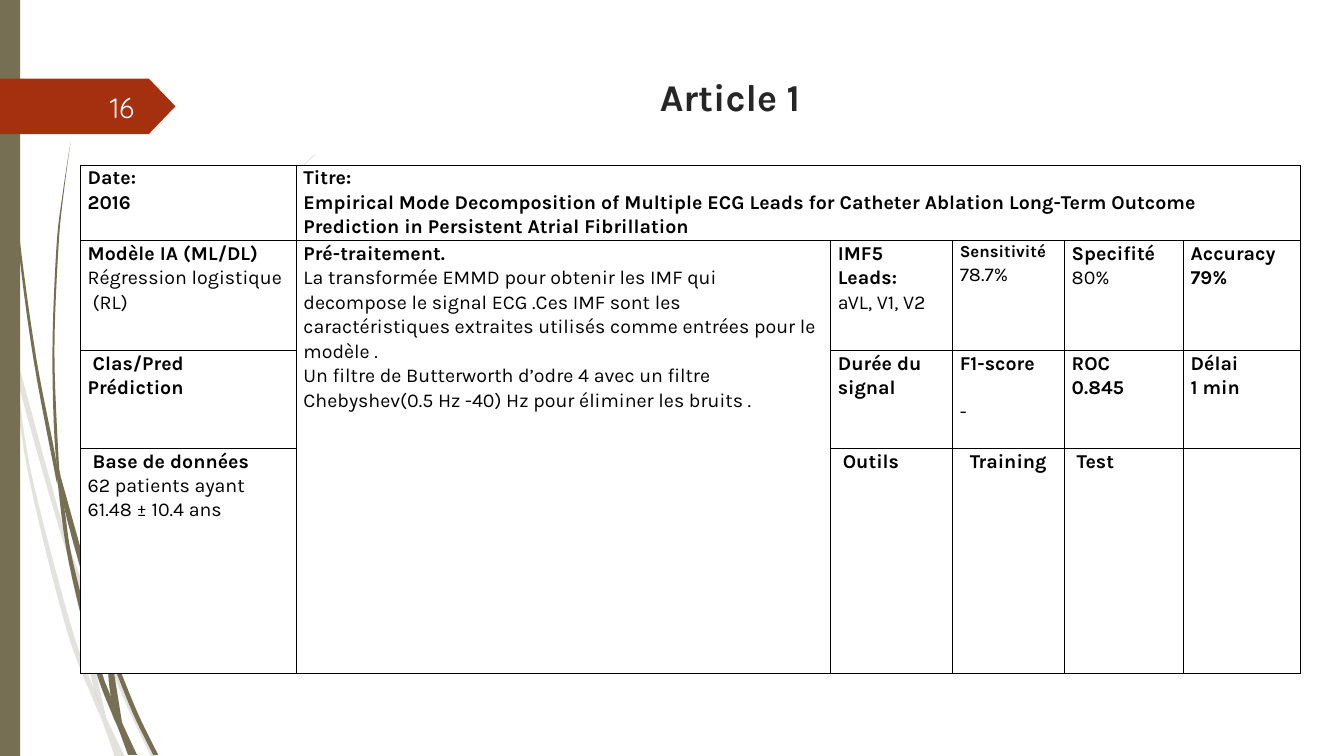
"""Build the slide that sums up article 1 in a table."""
from dataclasses import dataclass

from lxml import etree
from pptx import Presentation
from pptx.dml.color import RGBColor
from pptx.enum.shapes import MSO_SHAPE
from pptx.enum.text import MSO_ANCHOR, PP_ALIGN
from pptx.oxml.ns import qn
from pptx.util import Pt

PX = 9144
TITLE_ONLY = 5
RECTANGLE, PENTAGON = MSO_SHAPE.RECTANGLE, MSO_SHAPE.PENTAGON
CENTER, LEFT, RIGHT = PP_ALIGN.CENTER, PP_ALIGN.LEFT, PP_ALIGN.RIGHT
TOP, MIDDLE = MSO_ANCHOR.TOP, MSO_ANCHOR.MIDDLE
COLORS = {"olive": "766F54", "rust": "A53010", "title": "262626",
          "number": "FEFFFF", "black": "000000", "white": "FFFFFF"}


@dataclass
class Line:
    """One paragraph of a table cell."""
    text: str
    bold: bool = True
    size: int = 14
    indent: int = 0
    before: int = 0


TITLE = "Article 1"
NUMBER = "16"
TABLE_AT = (80, 164)
COLUMNS = (214, 530, 121, 111, 118, 116)
ROWS = (73, 109, 97, 223)
MERGES = (((0, 1), (0, 5)), ((1, 1), (3, 1)))
CELLS = {
    (0, 0): [Line("Date:"), Line("2016")],
    (0, 1): [Line("Titre:"),
             Line("Empirical Mode Decomposition of Multiple ECG Leads for Catheter Ablation "
                  "Long-Term Outcome Prediction in Persistent Atrial Fibrillation")],
    (1, 0): [Line("Modèle IA (ML/DL)"), Line("Régression logistique", False),
             Line("(RL)", False, indent=5)],
    (1, 1): [Line("Pré-traitement."),
             Line("La transformée EMMD pour obtenir les IMF qui decompose le signal ECG .Ces IMF "
                  "sont les caractéristiques extraites utilisés comme entrées pour le modèle .",
                  False),
             Line("Un filtre de Butterworth d’odre 4 avec un filtre Chebyshev(0.5 Hz -40) Hz "
                  "pour éliminer les bruits .", False)],
    (1, 2): [Line("IMF5"), Line("Leads:"), Line("aVL, V1, V2", False)],
    (1, 3): [Line("Sensitivité", size=12), Line("78.7%", False)],
    (1, 4): [Line("Specifité"), Line("80%", False)],
    (1, 5): [Line("Accuracy"), Line("79%")],
    (2, 0): [Line("Clas/Pred", indent=5), Line("Prédiction")],
    (2, 2): [Line("Durée du signal")],
    (2, 3): [Line("F1-score"), Line("-", False, before=17)],
    (2, 4): [Line("ROC"), Line("0.845")],
    (2, 5): [Line("Délai"), Line("1 min")],
    (3, 0): [Line("Base de données", indent=5), Line("62 patients ayant", False),
             Line("61.48 ± 10.4 ans", False)],
    (3, 2): [Line("Outils", indent=5)],
    (3, 3): [Line("Training", indent=10)],
    (3, 4): [Line("Test", indent=5)],
}

PALE_BLADES = (
    ([(0, 282), (9, 322), (11, 350)], [(0, 299), (10, 344), (11, 350)]),
    ([(14, 345), (62, 520), (85, 586), (92, 607), (127, 692), (155, 751)],
     [(14, 345), (17, 376), (58, 522), (84, 599), (88, 610), (123, 694), (150, 751)]),
    ([(11, 350), (17, 376), (31, 469), (70, 619), (93, 683), (105, 711), (124, 751)],
     [(11, 350), (28, 470), (65, 621), (92, 693), (101, 714), (114, 751)]),
    ([(84, 599), (87, 646), (93, 683), (105, 711)],
     [(84, 599), (88, 610), (91, 646), (105, 711)]),
    ([(312, 153), (268, 197), (228, 244), (158, 348), (107, 461), (85, 584), (88, 596)],
     [(312, 154), (268, 198), (229, 245), (160, 349), (110, 462), (88, 584), (88, 596)]),
)
DARK_BLADES = (
    ([(3, 0), (4, 48), (7, 110), (17, 233), (33, 355), (56, 477)],
     [(4, 0), (5, 48), (8, 109), (19, 232), (36, 355), (55, 453), (57, 481)]),
    ([(70, 141), (62, 193), (56, 245), (52, 349), (55, 449), (64, 505)],
     [(70, 141), (63, 193), (58, 245), (54, 349), (58, 453), (60, 472), (64, 505)]),
    ([(60, 472), (93, 590), (106, 631), (113, 649), (136, 706), (157, 749)],
     [(60, 472), (64, 505), (88, 592), (106, 645), (111, 656), (132, 708), (152, 749)]),
    ([(55, 453), (64, 505), (72, 556), (98, 657), (110, 691), (122, 719), (136, 749)],
     [(55, 453), (57, 477), (68, 557), (93, 659), (111, 708), (117, 722), (127, 749)]),
    ([(106, 645), (110, 691), (122, 719)], [(106, 645), (111, 656), (121, 716), (122, 719)]),
    ([(260, 344), (231, 373), (204, 405), (156, 474), (122, 551), (106, 631), (110, 641)],
     [(260, 344), (231, 374), (205, 406), (158, 476), (125, 552), (111, 633), (110, 641)]),
)


def smooth(knots, steps=6):
    """Return points on a smooth curve through the knots."""
    ends = [knots[0], *knots, knots[-1]]
    points = []
    for a, b, c, d in zip(ends, ends[1:], ends[2:], ends[3:]):
        for step in range(steps):
            t = step / steps
            points.append(tuple(
                (2 * q + (r - p) * t + (2 * p - 5 * q + 4 * r - s) * t ** 2
                 + (3 * q - p - 3 * r + s) * t ** 3) / 2
                for p, q, r, s in zip(a, b, c, d)))
    return points + [knots[-1]]


def paint(shape, color, opacity=100):
    """Give a shape a plain fill without line or shadow."""
    shape.shadow.inherit = False
    shape.line.fill.background()
    shape.fill.solid()
    shape.fill.fore_color.rgb = RGBColor.from_string(COLORS[color])
    if opacity < 100:
        tint = shape.fill._xPr.find(".//" + qn("a:srgbClr"))
        etree.SubElement(tint, qn("a:alpha"), val=str(opacity * 1000))


def add_blade(page, edges, opacity):
    """Draw one blade of grass between its two edges."""
    near, far = map(smooth, edges)
    outline = [(round(x * PX), round(y * PX)) for x, y in near + far[::-1]]
    builder = page.shapes.build_freeform(*outline[0], scale=1.0)
    builder.add_line_segments(outline[1:], close=True)
    paint(builder.convert_to_shape(), "olive", opacity)


def add_preset(page, kind, area, color):
    """Draw a filled preset shape."""
    shape = page.shapes.add_shape(kind, *(length * PX for length in area))
    paint(shape, color)
    return shape


def write(para, text, size, color, font="Karla", bold=False, align=LEFT):
    """Add one formatted run to a paragraph."""
    para.alignment = align
    span = para.add_run()
    span.text = text
    span.font.size, span.font.name, span.font.bold = Pt(size), font, bold
    span.font.color.rgb = RGBColor.from_string(COLORS[color])


def place(box, area, anchor):
    """Move a text box and set how its text sits."""
    box.left, box.top, box.width, box.height = (length * PX for length in area)
    box.text_frame.word_wrap = True
    box.text_frame.vertical_anchor = anchor


def format_cell(cell):
    """Set the fill, margins and borders of a cell."""
    cell.margin_left = cell.margin_right = 7 * PX
    cell.margin_top = cell.margin_bottom = 0
    cell.fill.solid()
    cell.fill.fore_color.rgb = RGBColor.from_string(COLORS["white"])
    properties = cell._tc.get_or_add_tcPr()
    for place_in_order, side in enumerate(("a:lnL", "a:lnR", "a:lnT", "a:lnB")):
        border = etree.Element(qn(side), w=str(Pt(1)))
        fill = etree.SubElement(border, qn("a:solidFill"))
        etree.SubElement(fill, qn("a:srgbClr"), val=COLORS["black"])
        properties.insert(place_in_order, border)


def fill_cell(cell, lines):
    """Write the lines of a cell, one paragraph each."""
    frame = cell.text_frame
    for index, line in enumerate(lines):
        para = frame.add_paragraph() if index else frame.paragraphs[0]
        para.line_spacing = 1.07
        para.space_before = Pt(line.before)
        para._p.get_or_add_pPr().set("marL", str(line.indent * PX))
        write(para, line.text, line.size, "black", bold=line.bold)


def add_summary(page):
    """Add the table of the article."""
    area = (*TABLE_AT, sum(COLUMNS), sum(ROWS))
    table = page.shapes.add_table(len(ROWS), len(COLUMNS), *(n * PX for n in area)).table
    table.first_row = table.horz_banding = False
    for column, width in zip(table.columns, COLUMNS):
        column.width = width * PX
    for row, height in zip(table.rows, ROWS):
        row.height = height * PX
    for cell in table.iter_cells():
        format_cell(cell)
    for first, last in MERGES:
        table.cell(*first).merge(table.cell(*last))
    for position, lines in CELLS.items():
        fill_cell(table.cell(*position), lines)


def main():
    """Build and save the deck."""
    deck = Presentation()
    deck.slide_width, deck.slide_height = 1333 * PX, 750 * PX
    page = deck.slides.add_slide(deck.slide_layouts[TITLE_ONLY])
    for blades, opacity in ((PALE_BLADES, 20), (DARK_BLADES, 100)):
        for edges in blades:
            add_blade(page, edges, opacity)
    add_preset(page, RECTANGLE, (0, 0, 20, 750), "olive")
    add_preset(page, PENTAGON, (0, 78, 174, 55), "rust").adjustments[0] = 0.48
    title = page.shapes.title
    place(title, (177, 68, 1094, 97), TOP)
    write(title.text_frame.paragraphs[0], TITLE, 27, "title", bold=True, align=CENTER)
    number = page.shapes.add_textbox(0, 0, PX, PX)
    place(number, (58, 86, 85, 40), MIDDLE)
    write(number.text_frame.paragraphs[0], NUMBER, 20, "number", "Quicksand", align=RIGHT)
    add_summary(page)
    deck.save("out.pptx")


if __name__ == "__main__":
    main()
